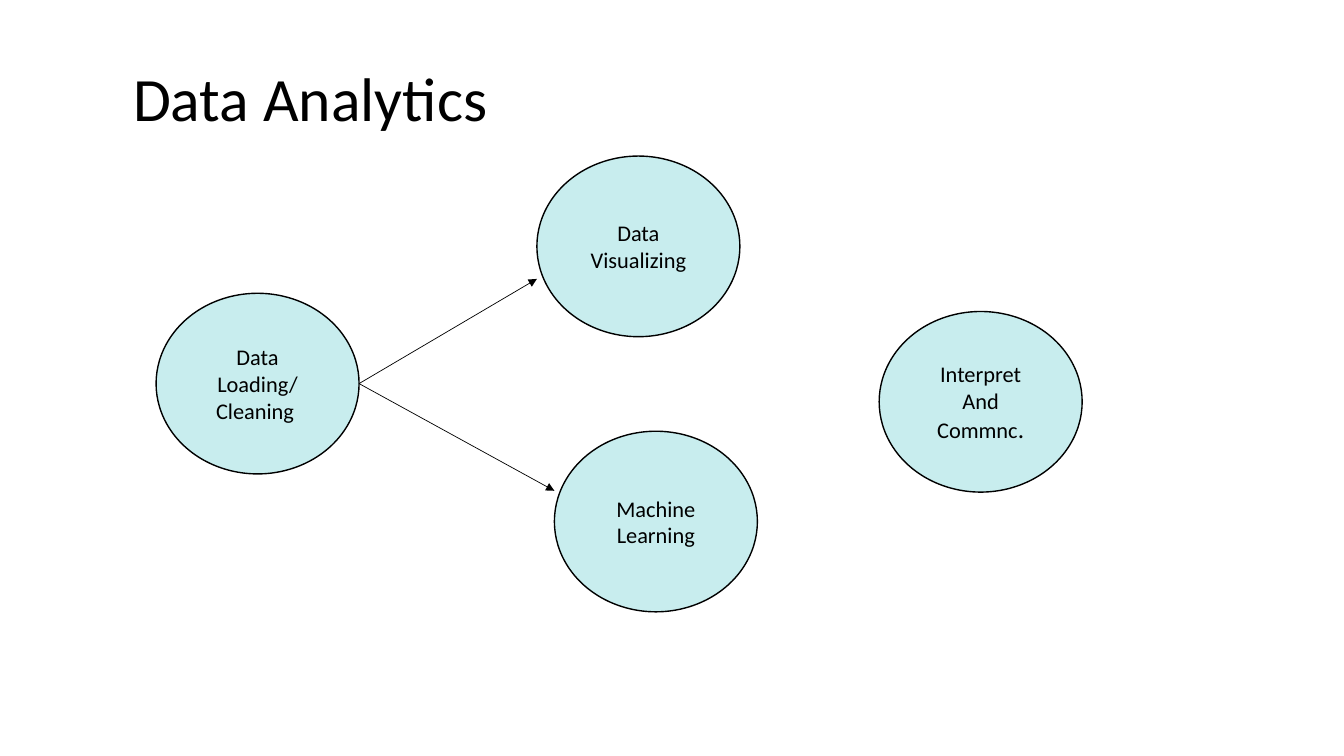
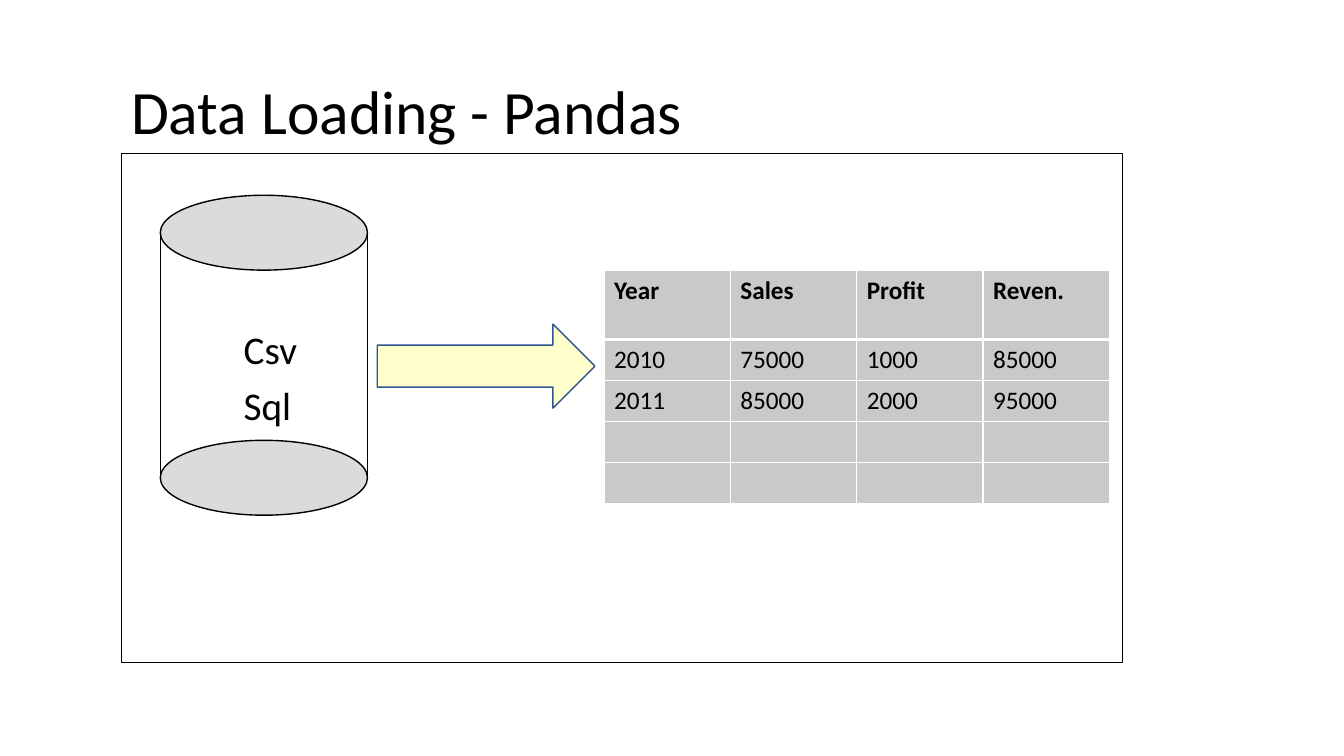
"""Two slides on data analytics and data loading."""
from collections import namedtuple
from dataclasses import dataclass

from lxml import etree
from pptx import Presentation
from pptx.dml.color import RGBColor
from pptx.enum import shapes, text
from pptx.oxml import ns
from pptx.util import Pt

Box = namedtuple("Box", "x y w h")
SHAPE = shapes.MSO_SHAPE
ALIGN = text.PP_ALIGN
ANCHOR = text.MSO_ANCHOR


@dataclass(frozen=True)
class Theme:
    """Colours and type sizes shared by the slides."""
    font: str = "Calibri"
    ink: str = "000000"
    bubble: str = "C8EDEE"
    lid: str = "DBDBDB"
    arrow: str = "FFFFCC"
    arrow_line: str = "325491"
    cell: str = "C9C9C9"
    grid: str = "FFFFFF"
    title: int = 44
    label: int = 16
    source: int = 28
    table: int = 18


T = Theme()


def rgb(code):
    """Turn a hex code into a colour."""
    return RGBColor.from_string(code)


def pts(*values):
    """Turn numbers into point lengths."""
    return [Pt(v) for v in values]


def style_runs(tf, size, bold=False, align=None, spacing=None, gap=0):
    """Format every paragraph and run of a text frame."""
    for i, p in enumerate(tf.paragraphs):
        p.alignment = align
        p.line_spacing = spacing
        p.space_before = Pt(gap if i else 0)
        p.font.size = Pt(size)
        for r in p.runs:
            r.font.name = T.font
            r.font.size = Pt(size)
            r.font.bold = bold
            r.font.color.rgb = rgb(T.ink)


def add_text(s, box, words, size, anchor=ANCHOR.TOP, gap=0):
    """Add a wrapped text box."""
    tf = s.shapes.add_textbox(*pts(*box)).text_frame
    tf.word_wrap = True
    tf.vertical_anchor = anchor
    tf.text = words
    style_runs(tf, size, spacing=0.9, gap=gap)


def add_title(s, box, words):
    """Add a slide title, centred vertically in its box."""
    add_text(s, box, words, T.title, ANCHOR.MIDDLE)


def add_shape(s, kind, box, fill=None, line=T.ink, width=1):
    """Add a flat preset shape."""
    sp = s.shapes.add_shape(kind, *pts(*box))
    sp.shadow.inherit = False
    if fill:
        sp.fill.solid()
        sp.fill.fore_color.rgb = rgb(fill)
    else:
        sp.fill.background()
    sp.line.color.rgb = rgb(line)
    sp.line.width = Pt(width)
    return sp


def add_line(s, start, end, arrow=False):
    """Add a thin straight line, with an arrowhead if wanted."""
    cx = s.shapes.add_connector(shapes.MSO_CONNECTOR.STRAIGHT, *pts(*start, *end))
    cx.line.color.rgb = rgb(T.ink)
    cx.line.width = Pt(0.5)
    if arrow:
        etree.SubElement(cx.line._get_or_add_ln(), ns.qn("a:tailEnd"), type="triangle")
    etree.SubElement(cx._element.spPr, ns.qn("a:effectLst"))


def add_bubble(s, box, words):
    """Add a labelled ellipse."""
    sp = add_shape(s, SHAPE.OVAL, box, T.bubble)
    tf = sp.text_frame
    tf.word_wrap = True
    tf.vertical_anchor = ANCHOR.MIDDLE
    tf.text = words
    style_runs(tf, T.label, align=ALIGN.CENTER)
    return tf


def add_flow(s, box):
    """Add the analytics steps and the arrows between them."""
    w, h = 145, 129
    load, visual, learn, interpret = [
        Box(box.x + dx, box.y + dy, w, h)
        for dx, dy in ((0, 98), (272, 0), (284.5, 196.5), (516.5, 111))]
    add_bubble(s, load, "Data Loading/\nCleaning ")
    add_bubble(s, visual, "Data Visualizing")
    add_bubble(s, learn, "Machine Learning")
    p = add_bubble(s, interpret, "Interpret\nAnd\nCommnc").paragraphs[-1]
    r = p.add_run()
    r.text = "."
    r.font.name = T.font
    r.font.size = Pt(18)
    r.font.color.rgb = rgb(T.ink)
    for target, share in ((visual, 0.68), (learn, 0.33)):
        add_line(s, (load.x + w, load.y + h / 2),
                 (target.x, target.y + share * h), arrow=True)


def add_drum(s, box, words):
    """Add a storage drum that names its data sources."""
    lid = 53.5
    add_text(s, Box(box.x + 52.5, box.y + 93, 90, 80), words, T.source, gap=10)
    for y in (box.y, box.y + box.h - lid):
        add_shape(s, SHAPE.OVAL, Box(box.x, y, box.w, lid), T.lid)
    for x in (box.x, box.x + box.w):
        add_line(s, (x, box.y + lid / 2), (x, box.y + box.h - lid / 2))


def set_borders(cell, **widths):
    """Give a cell solid borders, before its fill is set."""
    tc_pr = cell._tc.get_or_add_tcPr()
    for side in "LRTB":
        ln = etree.SubElement(tc_pr, ns.qn("a:ln" + side),
                              w=str(Pt(widths.get(side, 1))))
        fill = etree.SubElement(ln, ns.qn("a:solidFill"))
        etree.SubElement(fill, ns.qn("a:srgbClr"), val=T.grid)


def add_data_table(s, box, rows):
    """Add a grey table with a taller, bold header row."""
    head = 49
    n_rows, n_cols = len(rows), len(rows[0])
    tbl = s.shapes.add_table(n_rows, n_cols, *pts(*box)).table
    for col in tbl.columns:
        col.width = Pt(box.w / n_cols)
    for i, values in enumerate(rows):
        tbl.rows[i].height = Pt((box.h - head) / (n_rows - 1) if i else head)
        for j, value in enumerate(values):
            cell = tbl.cell(i, j)
            set_borders(cell, T=3 if i == 1 else 1, B=1 if i else 3)
            cell.fill.solid()
            cell.fill.fore_color.rgb = rgb(T.cell)
            cell.text_frame.text = value
            style_runs(cell.text_frame, T.table, bold=i == 0)


def add_loading(s, box):
    """Add the framed path from data sources to a table."""
    add_shape(s, SHAPE.RECTANGLE, box, width=0.75)
    add_drum(s, Box(box.x + 28, box.y + 29.5, 148, 228.5), "Csv\nSql")
    add_shape(s, SHAPE.RIGHT_ARROW, Box(box.x + 183, box.y + 121.5, 155.5, 60),
              T.arrow, T.arrow_line)
    add_data_table(s, Box(box.x + 345, box.y + 83.5, 361, 166), [
        ["Year", "Sales", "Profit", "Reven."],
        ["2010", "75000", "1000", "85000"],
        ["2011", "85000", "2000", "95000"],
        [""] * 4,
        [""] * 4])


def main():
    """Build and save the slides."""
    prs = Presentation()
    prs.slide_width, prs.slide_height = pts(960, 540)
    blank = prs.slide_layouts[6]

    s = prs.slides.add_slide(blank)
    add_title(s, Box(88, 31, 783, 83), "Data Analytics")
    add_flow(s, Box(111.5, 111.5, 661.5, 325.5))

    s = prs.slides.add_slide(blank)
    add_title(s, Box(86.5, 16.5, 783, 130.5), "Data Loading - Pandas")
    add_loading(s, Box(86.5, 110, 715, 363))

    prs.save("out.pptx")


if __name__ == "__main__":
    main()
